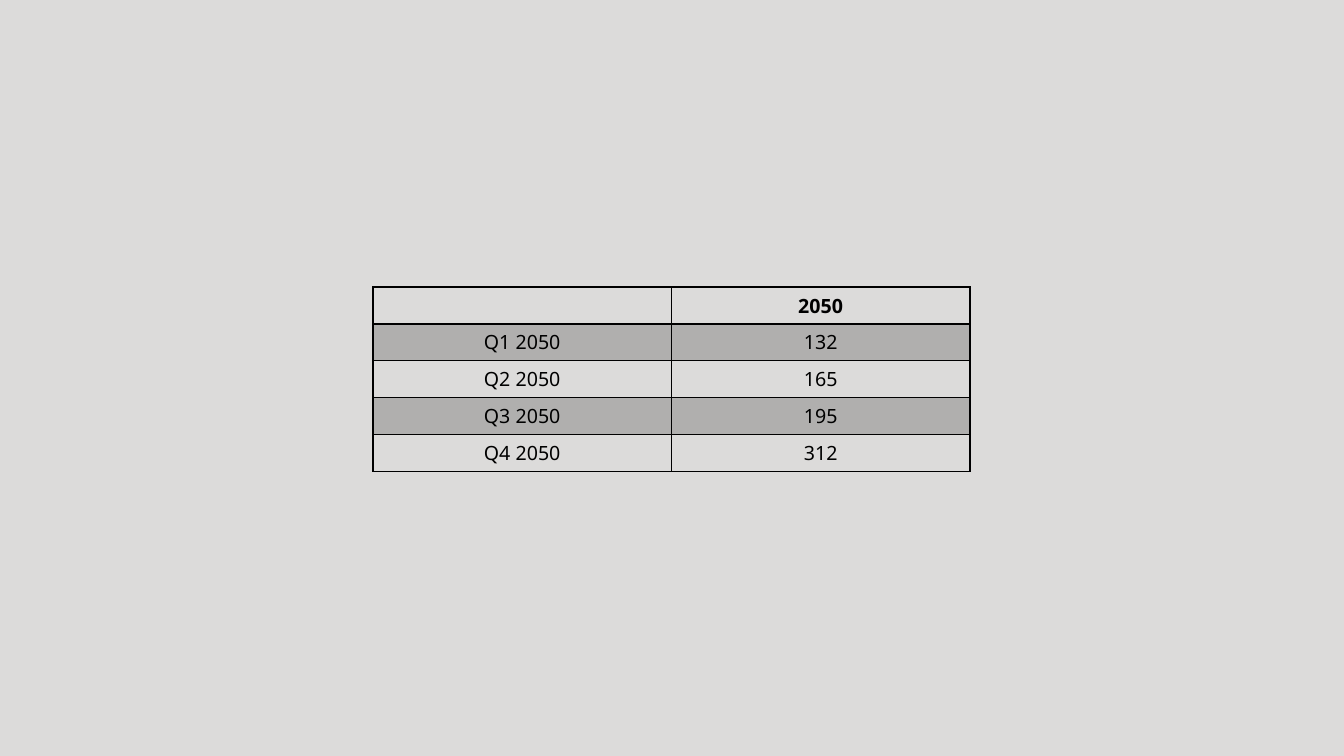
from lxml.etree import SubElement
from pptx import Presentation
from pptx.dml.color import RGBColor
from pptx.enum.text import MSO_ANCHOR, PP_ALIGN
from pptx.oxml.ns import qn
from pptx.util import Pt

PX = 9144000 / 1008  # EMU per px, at 100.8 px to the inch
BACKGROUND = RGBColor(0xDC, 0xDB, 0xDA)
INK = RGBColor(0x00, 0x00, 0x00)
BAND_OPACITY = 20  # percent
FONT = "Noto Sans"

QUARTERS = [
    ("", "2050"),
    ("Q1 2050", "132"),
    ("Q2 2050", "165"),
    ("Q3 2050", "195"),
    ("Q4 2050", "312"),
]


def px(length):
    return round(length * PX)


def add_borders(cell, bottom_width):
    """Draw the four cell edges; they must precede the fill in the XML."""
    properties = cell._tc.get_or_add_tcPr()
    widths = {"lnL": 1, "lnR": 1, "lnT": 1, "lnB": bottom_width}
    for edge, width in widths.items():
        line = SubElement(properties, qn(f"a:{edge}"), w=str(Pt(width)))
        color = SubElement(line, qn("a:solidFill"))
        SubElement(color, qn("a:srgbClr"), val=str(INK))


def fill_cell(cell, banded):
    if not banded:
        cell.fill.background()
        return
    cell.fill.solid()
    cell.fill.fore_color.rgb = INK
    color = cell._tc.tcPr.find(f"{qn('a:solidFill')}/{qn('a:srgbClr')}")
    SubElement(color, qn("a:alpha"), val=str(BAND_OPACITY * 1000))


def write_cell(cell, text, bold):
    cell.text = text
    cell.vertical_anchor = MSO_ANCHOR.MIDDLE
    label = cell.text_frame.paragraphs[0]
    label.alignment = PP_ALIGN.CENTER
    label.font.name = FONT
    label.font.size = Pt(14)
    label.font.bold = bold
    label.font.color.rgb = INK


def add_quarter_table(slide, left, top, width, height):
    rows, columns = len(QUARTERS), len(QUARTERS[0])
    frame = slide.shapes.add_table(
        rows, columns, px(left), px(top), px(width), px(height))
    table = frame.table
    table.first_row = table.horz_banding = False

    for row_index, values in enumerate(QUARTERS):
        is_header = row_index == 0
        for column_index, text in enumerate(values):
            cell = table.cell(row_index, column_index)
            add_borders(cell, bottom_width=2 if is_header else 1)
            fill_cell(cell, banded=row_index % 2 == 1)
            write_cell(cell, text, bold=is_header)


def main():
    presentation = Presentation()
    presentation.slide_width = px(1344)
    presentation.slide_height = px(756)
    slide = presentation.slides.add_slide(presentation.slide_layouts[6])

    # Background
    slide.background.fill.solid()
    slide.background.fill.fore_color.rgb = BACKGROUND

    # Quarterly figures
    add_quarter_table(slide, left=373, top=287, width=597, height=184)
    presentation.save("out.pptx")


if __name__ == "__main__":
    main()
